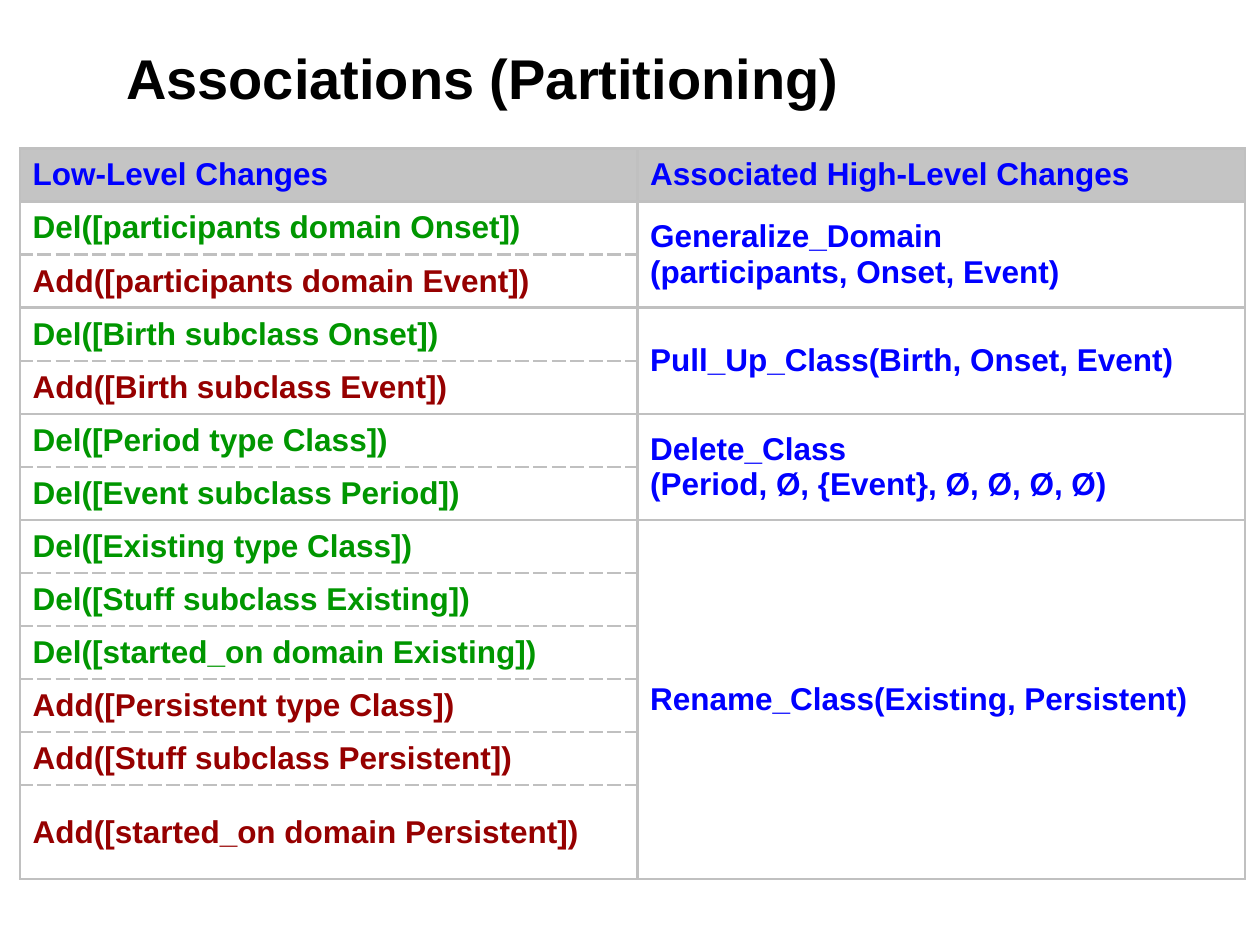
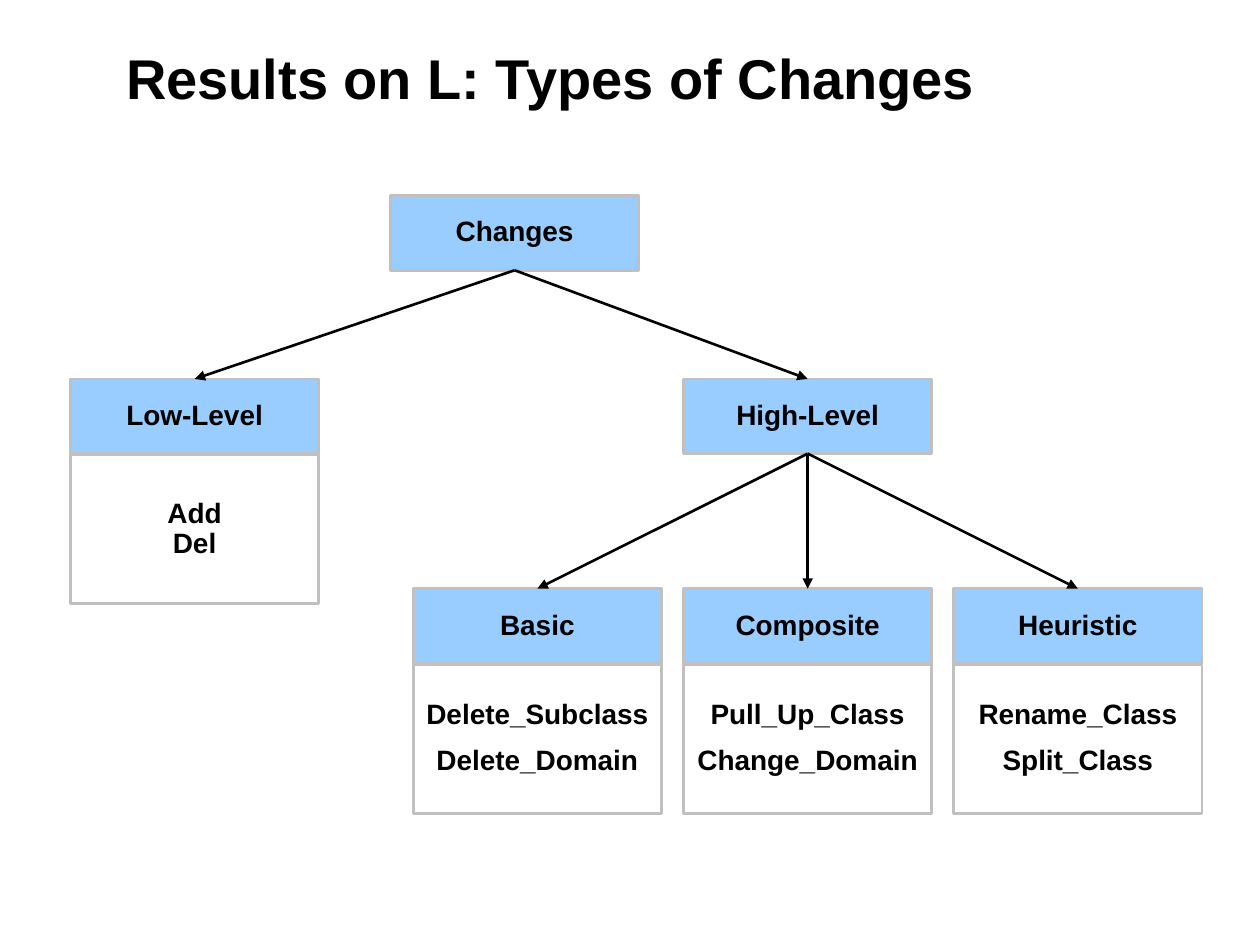
from lxml.etree import SubElement
from pptx import Presentation
from pptx.dml.color import RGBColor
from pptx.enum.shapes import MSO_CONNECTOR, MSO_SHAPE
from pptx.enum.text import MSO_ANCHOR, PP_ALIGN
from pptx.oxml import parse_xml
from pptx.oxml.ns import nsdecls, qn
from pptx.util import Inches, Pt

BLACK, BLUE, GREEN, RED = "000000", "0000FF", "009600", "960000"
BORDER, HEADER_FILL, BOX_FILL = "C0C0C0", "C4C4C4", "99CCFF"
FONT = "Arial"
LINE_WIDTH = Pt(1.5)
SLIDE_WIDTH, SLIDE_HEIGHT = Inches(10), Inches(7.5)

TITLE_AREA = (9, 3.9, 82.9, 8.5)
TABLE_LEFT, TABLE_TOP = 1.6, 15.7
TABLE_COLUMNS = (49, 48.2)
ROW_HEIGHT, LAST_ROW_HEIGHT = 5.62, 9.9
BOX_WIDTH, BOX_HEIGHT = 19.7, 7.9
DETAIL_OFFSET, DETAIL_HEIGHT = 8, 15.8
TYPE_LEFT, TYPE_STEP = 32.8, 21.45
LEVEL_TOPS = (20.7, 40.1, 62.3)

HEADINGS = ("Low-Level Changes", "Associated High-Level Changes")
ASSOCIATIONS = [
    ("Generalize_Domain\n(participants, Onset, Event)", "lgDash",
     ["Del([participants domain Onset])", "Add([participants domain Event])"]),
    ("Pull_Up_Class(Birth, Onset, Event)", "dash",
     ["Del([Birth subclass Onset])", "Add([Birth subclass Event])"]),
    ("Delete_Class\n(Period, Ø, {Event}, Ø, Ø, Ø, Ø)", "dash",
     ["Del([Period type Class])", "Del([Event subclass Period])"]),
    ("Rename_Class(Existing, Persistent)", "dash",
     ["Del([Existing type Class])", "Del([Stuff subclass Existing])",
      "Del([started_on domain Existing])", "Add([Persistent type Class])",
      "Add([Stuff subclass Persistent])", "Add([started_on domain Persistent])"]),
]
CHANGE_TYPES = [
    ("Basic", ["Delete_Subclass", "Delete_Domain"]),
    ("Composite", ["Pull_Up_Class", "Change_Domain"]),
    ("Heuristic", ["Rename_Class", "Split_Class"]),
]


def color(value):
    return RGBColor.from_string(value)


def across(percent):
    return round(SLIDE_WIDTH * percent / 100)


def down(percent):
    return round(SLIDE_HEIGHT * percent / 100)


def area(left, top, width, height):
    return across(left), down(top), across(width), down(height)


def apply(target, formats):
    for name, value in formats.items():
        setattr(target, name, value)


def write_text(text_frame, paragraphs, size, text_color, **paragraph_format):
    for index, text in enumerate(paragraphs):
        paragraph = text_frame.paragraphs[0] if index == 0 else text_frame.add_paragraph()
        paragraph.text = text
        apply(paragraph, paragraph_format)
        paragraph.space_before = Pt(9 if index else 0)
        for run in paragraph.runs:
            apply(run.font, {"name": FONT, "size": Pt(size), "bold": True})
            run.font.color.rgb = color(text_color)


def add_titled_slide(presentation, title):
    slide = presentation.slides.add_slide(presentation.slide_layouts[5])
    shape = slide.shapes.title
    apply(shape, dict(zip(("left", "top", "width", "height"), area(*TITLE_AREA))))
    apply(shape.text_frame, {"vertical_anchor": MSO_ANCHOR.MIDDLE, "word_wrap": True})
    write_text(shape.text_frame, [title], 32, BLACK, alignment=PP_ALIGN.LEFT)
    return slide


def set_borders(cell, top="solid", bottom="solid"):
    properties = cell._tc.get_or_add_tcPr()
    sides = {"lnL": "solid", "lnR": "solid", "lnT": top, "lnB": bottom}
    for index, (side, dash) in enumerate(sides.items()):
        properties.insert(index, parse_xml(
            f'<a:{side} {nsdecls("a")} w="{LINE_WIDTH}"><a:solidFill>'
            f'<a:srgbClr val="{BORDER}"/></a:solidFill>'
            f'<a:prstDash val="{dash}"/></a:{side}>'))


def fill_cell(cell, text, text_color, fill=None):
    cell.vertical_anchor = MSO_ANCHOR.MIDDLE
    if fill:
        cell.fill.solid()
        cell.fill.fore_color.rgb = color(fill)
    else:
        cell.fill.background()
    if text:
        write_text(cell.text_frame, [text], 18, text_color)


def add_association_table(slide):
    row_count = 1 + sum(len(changes) for _, _, changes in ASSOCIATIONS)
    heights = [ROW_HEIGHT] * (row_count - 1) + [LAST_ROW_HEIGHT]
    place = area(TABLE_LEFT, TABLE_TOP, sum(TABLE_COLUMNS), sum(heights))
    table = slide.shapes.add_table(row_count, len(TABLE_COLUMNS), *place).table
    apply(table, {"first_row": False, "horz_banding": False})
    for column, width in zip(table.columns, TABLE_COLUMNS):
        column.width = across(width)
    for row, height in zip(table.rows, heights):
        row.height = down(height)
    for cell, heading in zip(table.rows[0].cells, HEADINGS):
        fill_cell(cell, heading, BLUE, HEADER_FILL)
        set_borders(cell)
    first = 1
    for high_level, dash, changes in ASSOCIATIONS:
        last = first + len(changes) - 1
        for row, change in enumerate(changes, first):
            low_cell, high_cell = table.cell(row, 0), table.cell(row, 1)
            fill_cell(low_cell, change, GREEN if change.startswith("Del") else RED)
            set_borders(low_cell, "solid" if row == first else dash,
                        "solid" if row == last else dash)
            fill_cell(high_cell, high_level if row == first else "", BLUE)
            set_borders(high_cell)
        table.cell(first, 1).merge(table.cell(last, 1))
        first = last + 1


def add_box(slide, left, top, paragraphs, height=BOX_HEIGHT, fill=None):
    shape = slide.shapes.add_shape(
        MSO_SHAPE.RECTANGLE, *area(left, top, BOX_WIDTH, height))
    shape.shadow.inherit = False
    if fill:
        shape.fill.solid()
        shape.fill.fore_color.rgb = color(fill)
    else:
        shape.fill.background()
    shape.line.color.rgb = color(BORDER)
    shape.line.width = LINE_WIDTH
    apply(shape.text_frame, {"vertical_anchor": MSO_ANCHOR.MIDDLE, "word_wrap": False})
    write_text(shape.text_frame, paragraphs, 16, BLACK,
               alignment=PP_ALIGN.CENTER, line_spacing=0.9)
    return shape


def add_category(slide, left, level, name, details=None):
    top = LEVEL_TOPS[level]
    box = add_box(slide, left, top, [name], fill=BOX_FILL)
    if details:
        add_box(slide, left, top + DETAIL_OFFSET, details, DETAIL_HEIGHT)
    return box


def add_arrow(slide, parent, child):
    connector = slide.shapes.add_connector(MSO_CONNECTOR.STRAIGHT, 0, 0, 0, 0)
    connector.begin_connect(parent, 2)
    connector.end_connect(child, 0)
    connector.line.color.rgb = color(BLACK)
    connector.line.width = LINE_WIDTH
    SubElement(connector.line._get_or_add_ln(), qn("a:tailEnd"), type="triangle")
    SubElement(connector._element.spPr, qn("a:effectLst"))


def add_change_tree(slide):
    changes = add_category(slide, 31, 0, "Changes")
    low_level = add_category(slide, 5.6, 1, "Low-Level", ["Add\nDel"])
    high_level = add_category(slide, TYPE_LEFT + TYPE_STEP, 1, "High-Level")
    types = [add_category(slide, TYPE_LEFT + index * TYPE_STEP, 2, name, details)
             for index, (name, details) in enumerate(CHANGE_TYPES)]
    for parent, children in ((changes, [low_level, high_level]), (high_level, types)):
        for child in children:
            add_arrow(slide, parent, child)


def main():
    presentation = Presentation()
    apply(presentation, {"slide_width": SLIDE_WIDTH, "slide_height": SLIDE_HEIGHT})
    add_association_table(add_titled_slide(presentation, "Associations (Partitioning)"))
    add_change_tree(add_titled_slide(presentation, "Results on L: Types of Changes"))
    presentation.save("out.pptx")


if __name__ == "__main__":
    main()
